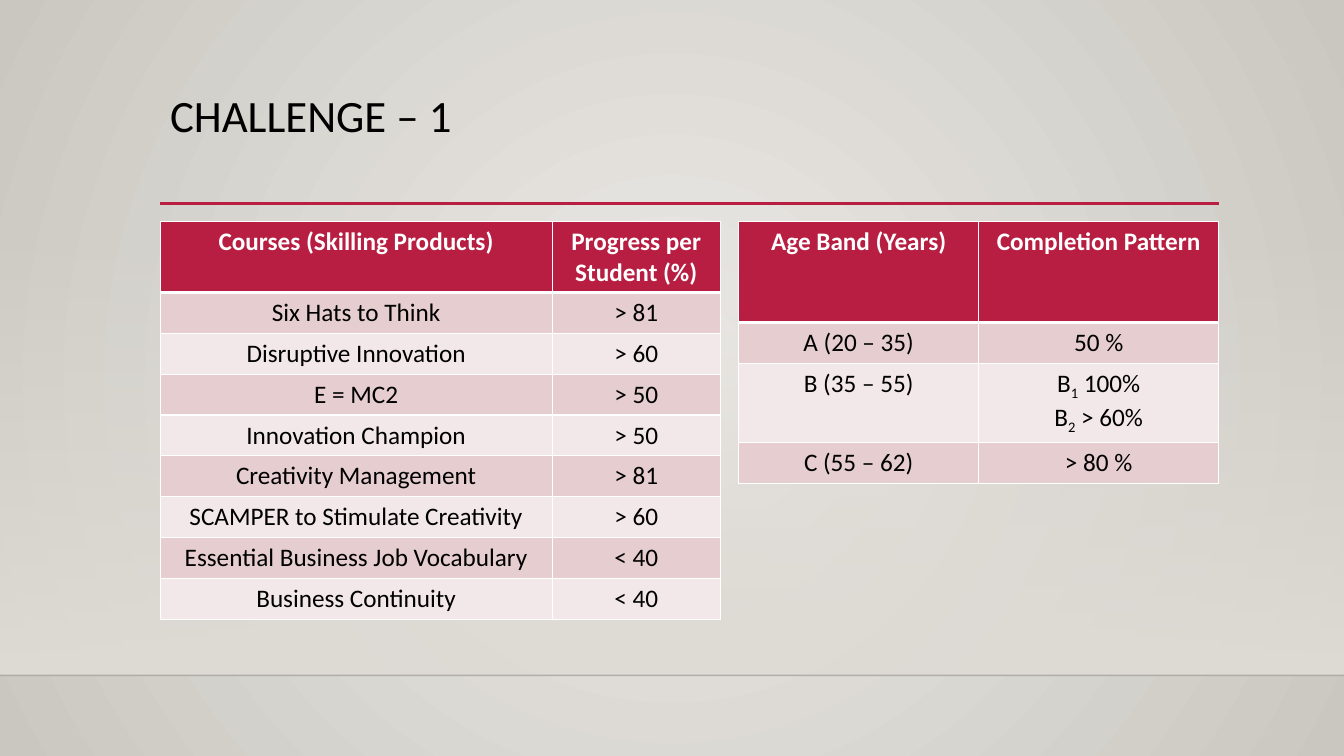
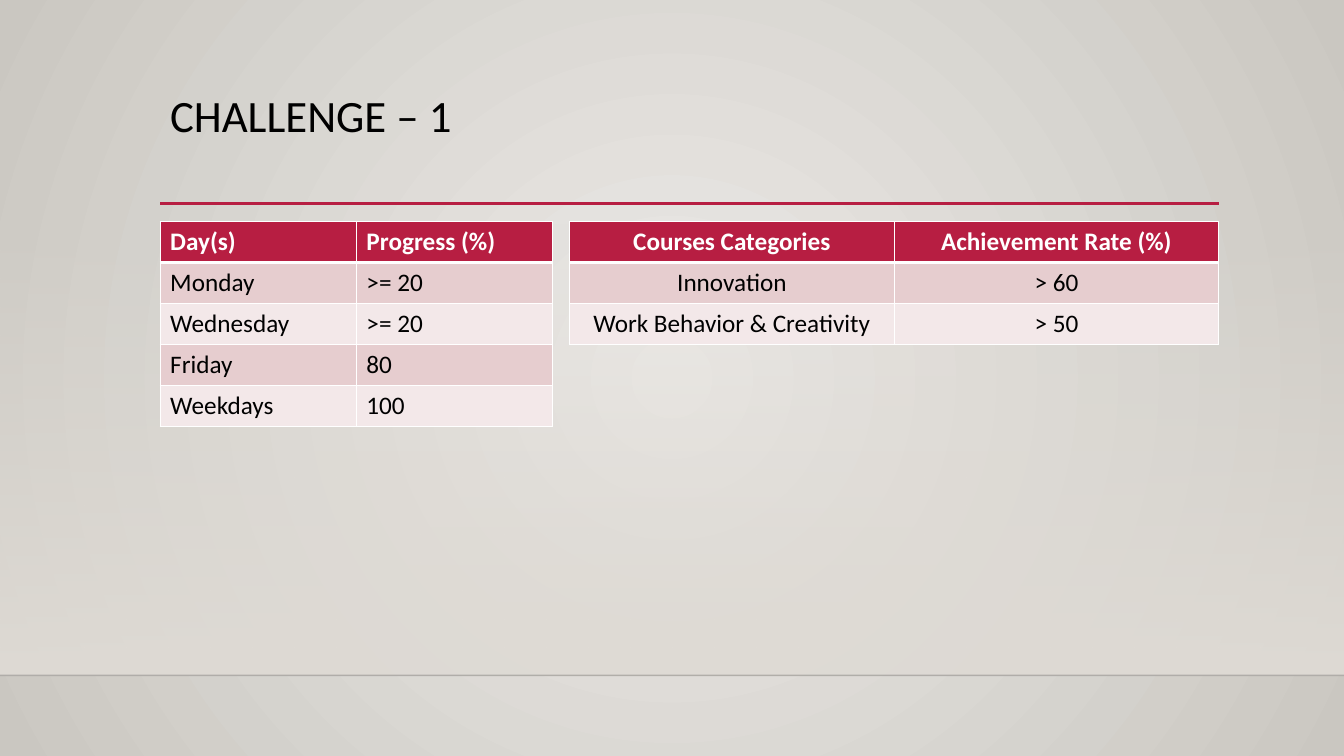
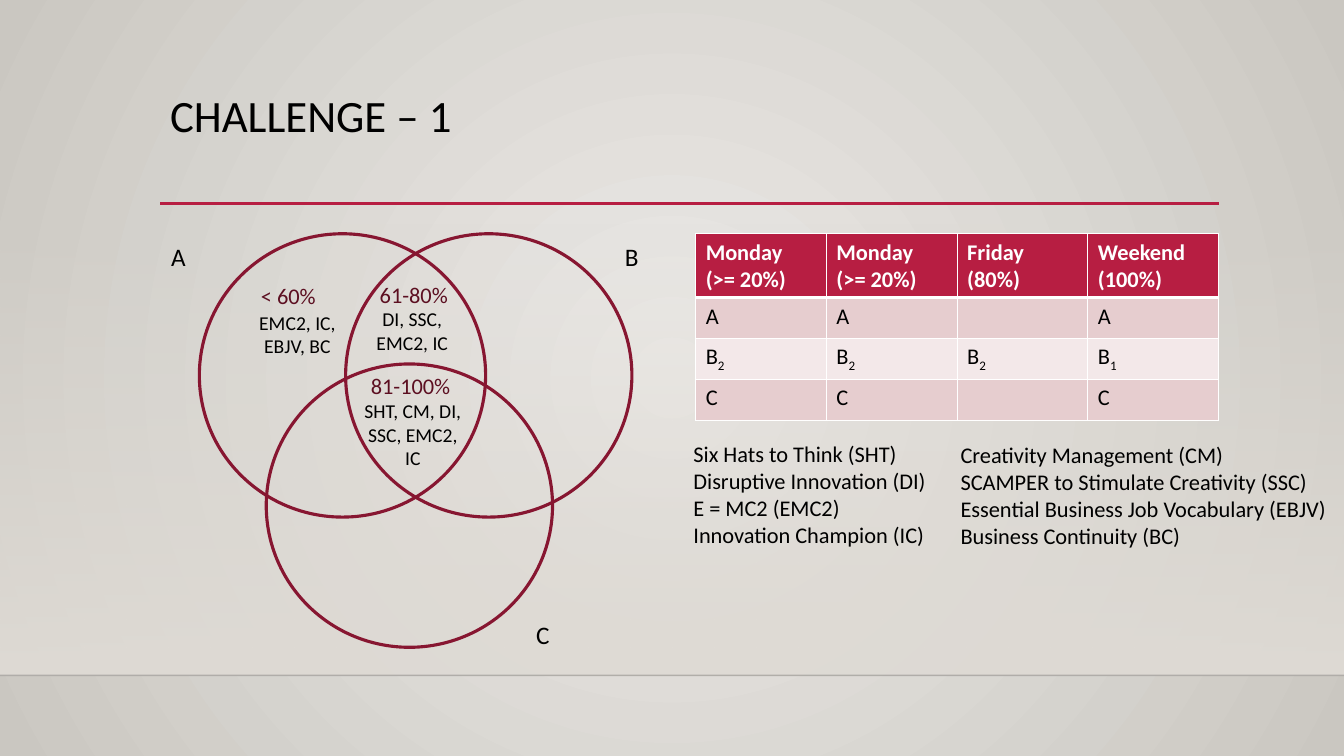
"""Build the three slides of the Challenge – 1 presentation."""
from lxml import etree
from pptx import Presentation
from pptx.dml.color import RGBColor
from pptx.enum.shapes import MSO_CONNECTOR, MSO_SHAPE
from pptx.enum.text import PP_ALIGN
from pptx.oxml.ns import qn
from pptx.util import Pt

STRAIGHT = MSO_CONNECTOR.STRAIGHT
OVAL, RECTANGLE = MSO_SHAPE.OVAL, MSO_SHAPE.RECTANGLE
LEFT_ALIGN, CENTER = PP_ALIGN.LEFT, PP_ALIGN.CENTER
WIDTH, HEIGHT = 960, 540
LEFT, RIGHT = 114.4, 870.5
TABLE_TOP, ROW_HEIGHT = 158.4, 29.2
FLOOR_TOP, FLOOR_BOTTOM = 159.1, 482.4
FONT = "Calibri"
COLORS = {
    "text": "000000",
    "white": "FFFFFF",
    "accent": "B71E42",
    "circle": "871631",
    "percent": "5C0F21",
    "odd_row": "E6CDCF",
    "even_row": "F3E8E9",
    "center": "ECEAE7",
    "edge": "CAC7C1",
    "floor": "DFDBD5",
    "floor_line": "000001",
}


class Deck:
    def __init__(self):
        self.presentation = Presentation()
        self.presentation.slide_width = Pt(WIDTH)
        self.presentation.slide_height = Pt(HEIGHT)
        self.slide = None
        self.set_background()

    def color(self, name):
        return RGBColor.from_string(COLORS[name])

    def set_background(self):
        master = self.presentation.slide_master
        self.gradient(master.background.fill, "center", "edge")
        glow = master.element.find(".//" + qn("a:gradFill"))
        glow.remove(glow.find(qn("a:lin")))
        circle = etree.SubElement(glow, qn("a:path"), {"path": "circle"})
        etree.SubElement(circle, qn("a:fillToRect"), dict.fromkeys("ltrb", "50000"))

    def gradient(self, fill, start, end):
        fill.gradient()
        for stop, name, position in zip(fill.gradient_stops, (start, end), (0, 1)):
            stop.color.rgb = self.color(name)
            stop.position = position

    def fade(self, element, percent):
        tint = element.find(".//" + qn("a:srgbClr"))
        etree.SubElement(tint, qn("a:alpha"), {"val": str(percent * 1000)})

    def new_slide(self, title):
        self.slide = self.presentation.slides.add_slide(self.presentation.slide_layouts[6])
        floor = self.shape(RECTANGLE, 0, FLOOR_TOP, WIDTH, FLOOR_BOTTOM - FLOOR_TOP)
        self.gradient(floor.fill, "floor", "floor")
        floor.fill.gradient_angle = 270
        floor.line.fill.background()
        self.fade(floor.element, 0)
        floor_line = self.rule(0, WIDTH, FLOOR_BOTTOM, "floor_line", 1)
        self.fade(floor_line.element, 20)
        self.rule(LEFT, RIGHT, 145.2, "accent", 2.5)
        heading = self.text(LEFT, 63.4, 756, 82.8, [title], 32)
        heading.text_frame.paragraphs[0].line_spacing = 0.9

    def shape(self, preset, left, top, width, height):
        shape = self.slide.shapes.add_shape(preset, Pt(left), Pt(top), Pt(width), Pt(height))
        shape.shadow.inherit = False
        return shape

    def circle(self, left, top, width, height):
        circle = self.shape(OVAL, left, top, width, height)
        circle.fill.background()
        circle.line.color.rgb = self.color("circle")
        circle.line.width = Pt(2.25)

    def rule(self, left, right, y, color, weight):
        rule = self.slide.shapes.add_connector(STRAIGHT, Pt(left), Pt(y), Pt(right), Pt(y))
        rule.line.color.rgb = self.color(color)
        rule.line.width = Pt(weight)
        etree.SubElement(rule.element.spPr, qn("a:effectLst"))
        return rule

    def set_lines(self, frame, lines, size, color, align, bold=False):
        frame.text = "\n".join(line.split("|")[0] for line in lines)
        for paragraph, line in zip(frame.paragraphs, lines):
            paragraph.alignment = align
            for piece in line.split("|")[1:]:
                paragraph.add_run().text = piece
            for index, run in enumerate(paragraph.runs):
                run.font.name = FONT
                run.font.size = Pt(size)
                run.font.bold = bold
                run.font.color.rgb = self.color(color)
                if index % 2:
                    run.font._element.set("baseline", "-25000")

    def text(self, left, top, width, height, lines, size, color="text", align=LEFT_ALIGN):
        box = self.slide.shapes.add_textbox(Pt(left), Pt(top), Pt(width), Pt(height))
        box.text_frame.word_wrap = True
        self.set_lines(box.text_frame, lines, size, color, align)
        return box

    def border(self, cell, row):
        weights = {"L": 1, "R": 1, "T": 3 if row == 1 else 1, "B": 3 if row == 0 else 1}
        properties = cell._tc.get_or_add_tcPr()
        for side, weight in weights.items():
            edge = etree.SubElement(properties, qn("a:ln" + side), {"w": str(Pt(weight))})
            paint = etree.SubElement(edge, qn("a:solidFill"))
            etree.SubElement(paint, qn("a:srgbClr"), {"val": COLORS["white"]})

    def table(self, left, rows, widths, top=TABLE_TOP, size=18, align=CENTER,
              header_height=ROW_HEIGHT):
        heights = [header_height] + [ROW_HEIGHT] * (len(rows) - 1)
        table = self.slide.shapes.add_table(
            len(rows), len(widths), Pt(left), Pt(top), Pt(sum(widths)), Pt(sum(heights))).table
        for column, width in zip(table.columns, widths):
            column.width = Pt(width)
        for row, (values, height) in enumerate(zip(rows, heights)):
            table.rows[row].height = Pt(height)
            header = row == 0
            band = "accent" if header else "odd_row" if row % 2 else "even_row"
            for column, value in enumerate(values):
                cell = table.cell(row, column)
                self.border(cell, row)
                cell.fill.solid()
                cell.fill.fore_color.rgb = self.color(band)
                self.set_lines(cell.text_frame, value.split("\n"), size,
                               "white" if header else "text", align, header)

    def right_table(self, rows, widths, **options):
        self.table(RIGHT - sum(widths), rows, widths, **options)


def courses_slide(deck):
    deck.new_slide("CHALLENGE – 1")
    deck.table(LEFT, [
        ("Courses (Skilling Products)", "Progress per Student (%)"),
        ("Six Hats to Think", "> 81"),
        ("Disruptive Innovation", "> 60"),
        ("E = MC2", "> 50"),
        ("Innovation Champion", "> 50"),
        ("Creativity Management", "> 81"),
        ("SCAMPER to Stimulate Creativity", "> 60"),
        ("Essential Business Job Vocabulary", "< 40"),
        ("Business Continuity", "< 40"),
    ], [280, 120.2])
    deck.right_table([
        ("Age Band (Years)", "Completion Pattern"),
        ("A (20 – 35)", "50 %"),
        ("B (35 – 55)", "B|1| 100%\nB|2| > 60%"),
        ("C (55 – 62)", "> 80 %"),
    ], [171.4] * 2, header_height=72)


def days_slide(deck):
    deck.new_slide("CHALLENGE – 1")
    deck.right_table([
        ("Courses Categories", "Achievement Rate (%)"),
        ("Innovation", "> 60"),
        ("Work Behavior & Creativity", "> 50"),
    ], [231.8] * 2)
    deck.table(LEFT, [
        ("Day(s)", "Progress (%)"),
        ("Monday", ">= 20"),
        ("Wednesday", ">= 20"),
        ("Friday", "80"),
        ("Weekdays", "100"),
    ], [140.2] * 2, align=LEFT_ALIGN)


def overlap_slide(deck):
    deck.new_slide("CHALLENGE – 1")
    for left, top in ((142.4, 167), (246.9, 167), (190.2, 260)):
        deck.circle(left, top, 204.5, 202.4)
    for band, left, top in (("A", 115.2, 168.5), ("B", 439.2, 168.5), ("C", 375.8, 438.5)):
        deck.text(left, top, 37.4, 28.8, [band], 18)
    for percent, left, top in (
            ("81-100%", 257.8, 262.1), ("61-80%", 264.2, 197.3), ("< 60%", 179.3, 198)):
        deck.text(left, top, 86.4, 26.6, [percent], 16, "percent")
    for courses, left, top, width, height in (
            (["SHT, CM, DI, SSC, EMC2, IC"], 250.6, 281.5, 88.6, 58.3),
            (["EMC2, IC, EBJV, BC"], 169.9, 218.2, 85, 41),
            (["DI, SSC,", "EMC2, IC"], 258.5, 216, 72, 41)):
        deck.text(left, top, width, height, courses, 14, align=CENTER)
    deck.right_table([
        ("Monday (>= 20%)", "Monday (>= 20%)", "Friday (80%)", "Weekend (100%)"),
        ("A", "A", "", "A"),
        ("B|2", "B|2", "B|2", "B|1"),
        ("C", "C", "", "C"),
    ], [93.4] * 4, top=167, size=16, align=LEFT_ALIGN)
    for left, top, abbreviations in (
            (488.2, 311, ["Six Hats to Think (SHT)", "Disruptive Innovation (DI)",
                          "E = MC2 (EMC2)", "Innovation Champion (IC)"]),
            (679, 311.8, ["Creativity Management (CM)",
                          "SCAMPER to Stimulate Creativity (SSC)",
                          "Essential Business Job Vocabulary (EBJV)",
                          "Business Continuity (BC)"])):
        deck.text(left, top, 277.2, 85, abbreviations, 16)


def main():
    deck = Deck()
    courses_slide(deck)
    days_slide(deck)
    overlap_slide(deck)
    deck.presentation.save("out.pptx")


if __name__ == "__main__":
    main()
